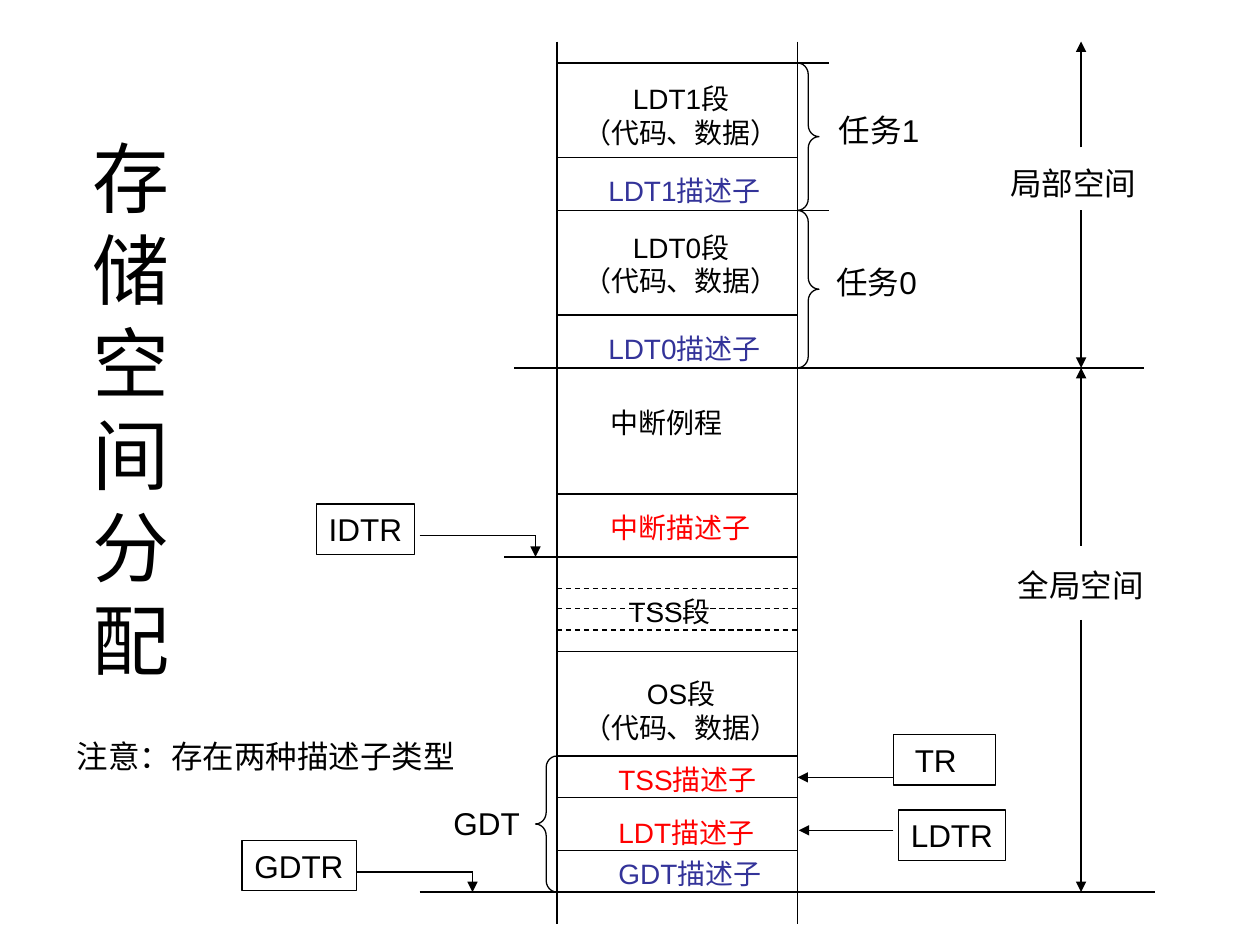
from collections import namedtuple

from lxml import etree
from pptx import Presentation
from pptx import util as u
from pptx.dml import color
from pptx.enum import dml, shapes, text
from pptx.oxml import ns

Box = namedtuple("Box", "left top width height")
COLORS = {"ink": "000000", "blue": "333399", "red": "FF0000"}
FONT = "Arial"
LINE_WIDTH = u.Pt(0.75)
CODE_AND_DATA = "（代码、数据）"


def rgb(name):
    return color.RGBColor.from_string(COLORS[name])


def style_font(font, size, ink="ink"):
    font.name = FONT
    font.size = u.Pt(size)
    font.color.rgb = rgb(ink)


def add_line(page, start, end, arrow=False, dashed=False):
    line = page.shapes.add_connector(
        shapes.MSO_CONNECTOR.STRAIGHT, *map(u.Inches, start + end))
    line.line.color.rgb = rgb("ink")
    line.line.width = LINE_WIDTH
    if dashed:
        line.line.dash_style = dml.MSO_LINE.DASH
    properties = line._element.spPr
    if arrow:
        outline = properties.find(ns.qn("a:ln"))
        etree.SubElement(outline, ns.qn("a:tailEnd"), type="triangle")
    etree.SubElement(properties, ns.qn("a:effectLst"))


def add_label(page, box, lines, size=18, ink="ink", centred=False,
              framed=False, indent=0.1):
    label = page.shapes.add_textbox(*map(u.Inches, box))
    if framed:
        label.line.color.rgb = rgb("ink")
        label.line.width = LINE_WIDTH
    frame = label.text_frame
    frame.word_wrap = False
    frame.auto_size = text.MSO_AUTO_SIZE.SHAPE_TO_FIT_TEXT
    frame.margin_left = u.Inches(indent)
    if not centred:
        frame.margin_right = u.Inches(0.04)
    frame.text = lines
    for para in frame.paragraphs:
        para.alignment = text.PP_ALIGN.CENTER if centred else text.PP_ALIGN.LEFT
        style_font(para.font, size, ink)


def add_brace(page, kind, box):
    brace = page.shapes.add_shape(kind, *map(u.Inches, box))
    brace.shadow.inherit = False
    brace.fill.background()
    brace.line.color.rgb = rgb("ink")
    brace.line.width = LINE_WIDTH
    brace.adjustments[0] = 0.54


def fill_title(page, box):
    title = page.shapes.title
    title.left, title.top, title.width, title.height = map(u.Inches, box)
    frame = title.text_frame
    frame.word_wrap = True
    frame.auto_size = text.MSO_AUTO_SIZE.NONE
    frame.vertical_anchor = text.MSO_ANCHOR.MIDDLE
    frame.text = "存储空间分配"
    para = frame.paragraphs[0]
    para.alignment = text.PP_ALIGN.CENTER
    style_font(para.font, 44)


def draw_memory(page, box):
    right = box.left + box.width
    for side in (box.left, right):
        add_line(page, (side, box.top), (side, box.top + box.height))

    borders = [
        (0.17, 0, 0.25), (0.92, 0, 0), (1.34, 0, 0.25), (2.17, 0, 0),
        (2.59, 0.34, 2.75), (3.59, 0, 0), (4.09, 0.42, 0), (4.84, 0, 0),
        (5.67, 0, 0), (6, 0, 0), (6.42, 0, 0), (6.75, 1.09, 2.84),
    ]
    for offset, before, after in borders:
        y = box.top + offset
        add_line(page, (box.left - before, y), (right + after, y))
    for offset in (4.34, 4.5, 4.67):
        y = box.top + offset
        add_line(page, (box.left, y), (right, y), dashed=True)

    for name, offset in (("LDT1段", 0.27), ("LDT0段", 1.45), ("OS段", 4.99)):
        place = Box(box.left + 0.11, box.top + offset, 1.75, 0.64)
        add_label(page, place, f"{name}\n{CODE_AND_DATA}", 16, centred=True)

    entries = [
        ("LDT1描述子", 0.31, 1, 1.46, "blue"),
        ("LDT0描述子", 0.31, 2.25, 1.46, "blue"),
        ("中断例程", 0.33, 2.84, 1.08, "ink"),
        ("中断描述子", 0.33, 3.67, 1.31, "red"),
        ("TSS段", 0.47, 4.34, 0.9, "ink"),
        ("TSS描述子", 0.39, 5.67, 1.35, "red"),
        ("LDT描述子", 0.39, 6.09, 1.33, "red"),
        ("GDT描述子", 0.39, 6.42, 1.38, "blue"),
    ]
    for name, x, y, width, ink in entries:
        place = Box(box.left + x, box.top + y, width, 0.37)
        add_label(page, place, name, 16, ink)


def draw_group(page, box, kind, name, label_offset, label_width):
    add_brace(page, kind, box)
    x, y = label_offset
    add_label(page, Box(box.left + x, box.top + y, label_width, 0.4), name)


def draw_elbow_register(page, box, name, start, corner, drop):
    add_label(page, box, name, framed=True)
    y = box.top + 0.25
    add_line(page, (start, y), (corner, y))
    add_line(page, (corner, y), (corner, y + drop), arrow=True)


def draw_side_register(page, box, name, pointer, target, indent=0.1):
    add_label(page, box, name, framed=True, indent=indent)
    add_line(page, (7.09, pointer), (target, pointer), arrow=True)


def draw_span(page, box, name, gap, label):
    axis = box.left + box.width / 2
    add_line(page, (axis, gap[0]), (axis, box.top), arrow=True)
    add_line(page, (axis, gap[1]), (axis, box.top + box.height), arrow=True)
    add_label(page, label, name)


def main():
    deck = Presentation()
    deck.slide_width, deck.slide_height = u.Inches(10), u.Inches(7.5)
    page = deck.slides.add_slide(deck.slide_layouts[5])

    fill_title(page, Box(0.5, 0.3, 1.08, 5.87))
    draw_memory(page, Box(4.42, 0.33, 1.91, 7))

    left_brace = shapes.MSO_SHAPE.LEFT_BRACE
    right_brace = shapes.MSO_SHAPE.RIGHT_BRACE
    draw_group(page, Box(4.25, 6, 0.17, 1.08), left_brace, "GDT", (-0.75, 0.33), 0.73)
    draw_group(page, Box(6.33, 1.67, 0.17, 1.25), right_brace, "任务0", (0.21, 0.37), 0.9)
    draw_group(page, Box(6.33, 0.5, 0.17, 1.17), right_brace, "任务1", (0.23, 0.33), 0.9)

    draw_elbow_register(page, Box(1.92, 6.67, 0.91, 0.4), "GDTR", 2.83, 3.75, 0.16)
    draw_elbow_register(page, Box(2.51, 4, 0.78, 0.4), "IDTR", 3.33, 4.25, 0.17)
    draw_side_register(page, Box(7.13, 6.43, 0.85, 0.4), "LDTR", 6.59, 6.34)
    draw_side_register(page, Box(7.09, 5.83, 0.81, 0.4), "TR", 6.17, 6.33, indent=0.17)

    draw_span(page, Box(7.98, 2.92, 1.2, 4.16), "全局空间", (4.33, 4.92),
              Box(7.98, 4.44, 1.2, 0.4))
    draw_span(page, Box(7.98, 0.33, 1.2, 2.59), "局部空间", (1.17, 1.67),
              Box(7.92, 1.25, 1.2, 0.4))
    add_label(page, Box(0.51, 5.8, 3.2, 0.4), "注意：存在两种描述子类型")

    deck.save("out.pptx")


if __name__ == "__main__":
    main()
